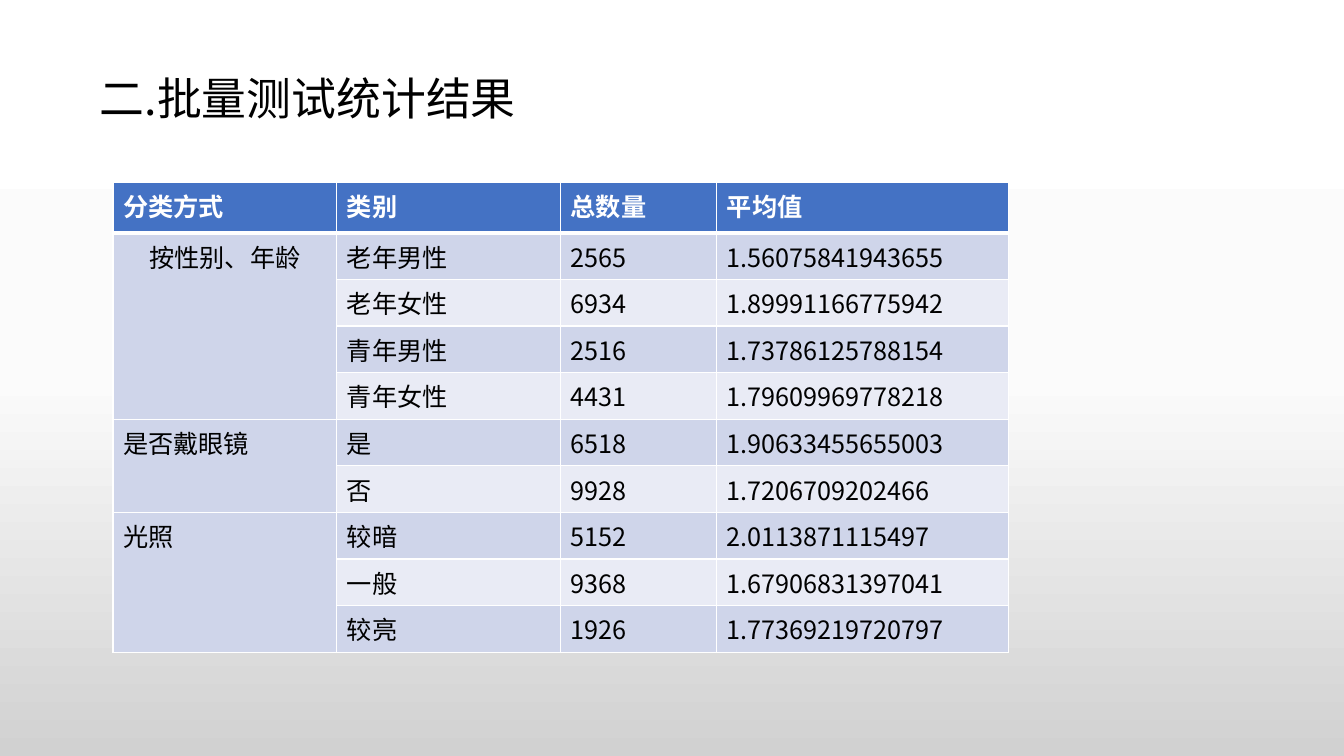
"""Build the slide with the batch test statistics table."""
from copy import deepcopy

from lxml.etree import SubElement
from pptx import Presentation
from pptx.dml.color import RGBColor
from pptx.enum.text import MSO_ANCHOR, PP_ALIGN
from pptx.oxml.ns import qn
from pptx.util import Inches, Pt

FONT = "Noto Sans CJK SC"
HEADER = ["分类方式", "类别", "总数量", "平均值"]
GROUPS = [
    ("按性别、年龄", [
        ("老年男性", "2565", "1.56075841943655"),
        ("老年女性", "6934", "1.89991166775942"),
        ("青年男性", "2516", "1.73786125788154"),
        ("青年女性", "4431", "1.79609969778218")]),
    ("是否戴眼镜", [
        ("是", "6518", "1.90633455655003"),
        ("否", "9928", "1.7206709202466")]),
    ("光照", [
        ("较暗", "5152", "2.0113871115497"),
        ("一般", "9368", "1.67906831397041"),
        ("较亮", "1926", "1.77369219720797")]),
]


def rgb(value):
    return RGBColor.from_string(value)


def write(p, text, size, color, bold=False):
    r = p.add_run()
    r.text = text
    for name, value in {"size": Pt(size), "bold": bold, "name": FONT}.items():
        setattr(r.font, name, value)
    r.font.color.rgb = rgb(color)
    SubElement(r.font._element, qn("a:ea"), typeface=FONT)


prs = Presentation()
prs.slide_width, prs.slide_height = Inches(13.33), Inches(7.5)
s = prs.slides.add_slide(prs.slide_layouts[5])

fill = s.background.fill
fill.gradient()
fill.gradient_angle = 270
gs_list = s._element.find(".//" + qn("a:gsLst"))
gs_list.append(deepcopy(gs_list[0]))
stops = [(0, "FFFFFF"), (0.5, "FBFBFB"), (1, "D1D1D1")]
for stop, (position, color) in zip(fill.gradient_stops, stops):
    stop.position = position
    stop.color.rgb = rgb(color)

title = s.shapes.title
box = {"left": 0.89, "top": 0.74, "width": 11, "height": 0.53}
for name, value in box.items():
    setattr(title, name, Inches(value))
tf = title.text_frame
tf.vertical_anchor = MSO_ANCHOR.MIDDLE
p = tf.paragraphs[0]
p.alignment = PP_ALIGN.LEFT
p.line_spacing = 0.9
write(p, "二.批量测试统计结果", 32, "000000")

rows = [HEADER]
for group, items in GROUPS:
    for i, item in enumerate(items):
        rows.append(["" if i else group, *item])

table = s.shapes.add_table(len(rows), len(HEADER), Inches(1.12), Inches(1.81),
                           Inches(8.88), Inches(4.19)).table
for column, width in zip(table.columns, [2.22, 2.22, 1.55, 2.89]):
    column.width = Inches(width)

for i, values in enumerate(rows):
    table.rows[i].height = Inches(0.41 if i else 0.5)
    for j, text in enumerate(values):
        cell = table.cell(i, j)
        band = "CFD5EA" if j == 0 or i % 2 else "E9EBF5"
        tc_pr = cell._tc.get_or_add_tcPr()
        for side in ("lnL", "lnR", "lnT", "lnB"):
            thick = (i, side) in [(0, "lnB"), (1, "lnT")]
            ln = SubElement(tc_pr, qn("a:" + side), w=str(Pt(3 if thick else 1)))
            SubElement(SubElement(ln, qn("a:solidFill")), qn("a:srgbClr"), val="FFFFFF")
        cell.fill.solid()
        cell.fill.fore_color.rgb = rgb(band if i else "4472C4")
        if text:
            write(cell.text_frame.paragraphs[0], text, 18,
                  "000000" if i else "FFFFFF", bold=i == 0)

table.cell(1, 0).text_frame.paragraphs[0].alignment = PP_ALIGN.CENTER
first = 1
for group, items in GROUPS:
    last = first + len(items) - 1
    table.cell(first, 0).merge(table.cell(last, 0))
    first = last + 1

prs.save("out.pptx")
